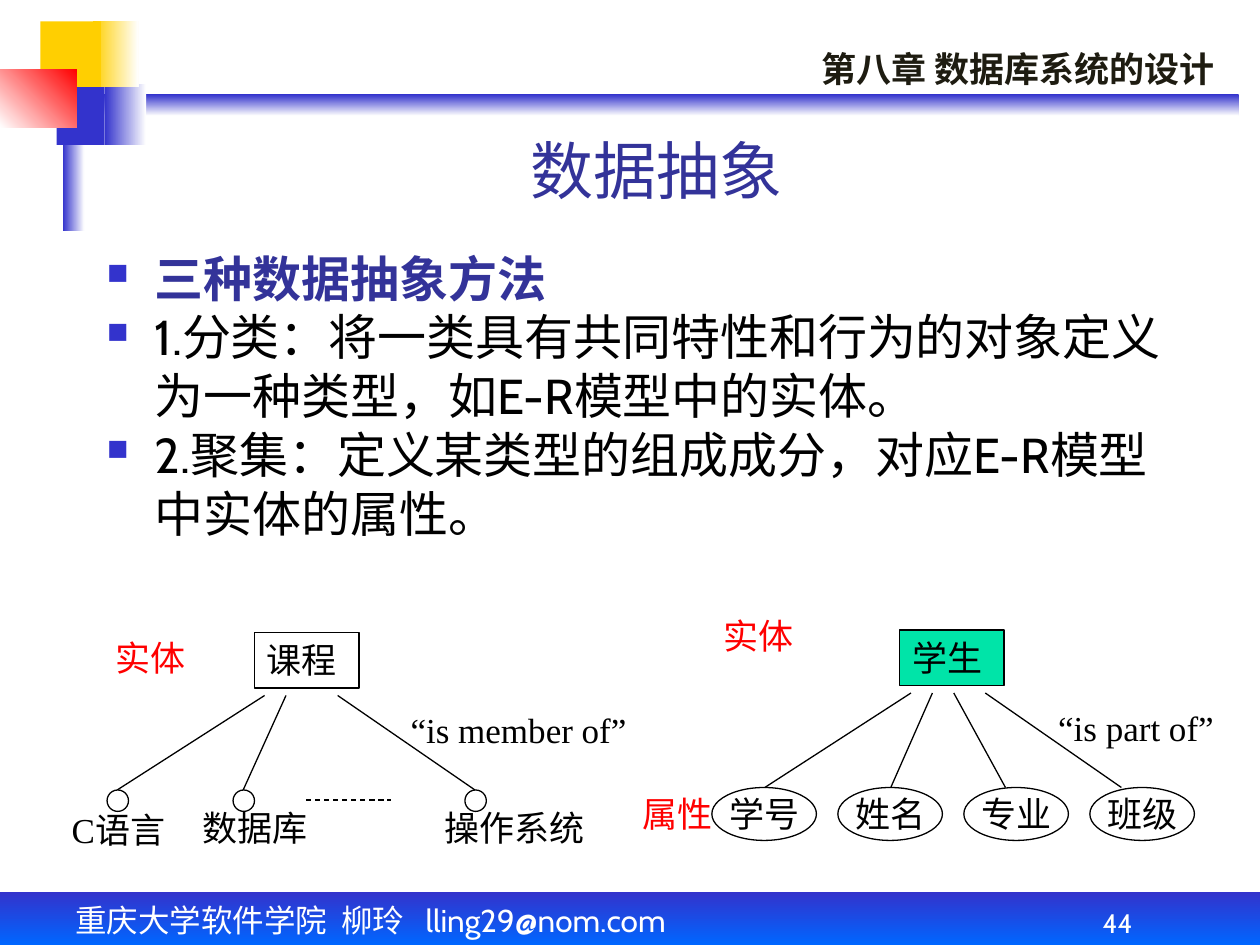
from lxml import etree
from pptx import Presentation
from pptx.dml.color import RGBColor
from pptx.enum import dml, shapes, text
from pptx.oxml.ns import qn
from pptx.util import Inches, Pt

BLUE = RGBColor(0x33, 0x33, 0xCC)
SKY = RGBColor(0x00, 0x66, 0xFF)
YELLOW = RGBColor(0xFF, 0xCF, 0x01)
RED = RGBColor(0xFF, 0x00, 0x00)
GREEN = RGBColor(0x00, 0xE4, 0xA8)
INDIGO = RGBColor(0x33, 0x33, 0x99)
INK = RGBColor(0x1E, 0x1C, 0x11)
BLACK = RGBColor(0x00, 0x00, 0x00)
WHITE = RGBColor(0xFF, 0xFF, 0xFF)
SANS, SERIF = "Cabin", "Times New Roman"
RECT, OVAL = shapes.MSO_SHAPE.RECTANGLE, shapes.MSO_SHAPE.OVAL
LEFT, CENTER = text.PP_ALIGN.LEFT, text.PP_ALIGN.CENTER
TOP, MIDDLE, BOTTOM = (text.MSO_ANCHOR.TOP, text.MSO_ANCHOR.MIDDLE,
                       text.MSO_ANCHOR.BOTTOM)


def add_run(paragraph, wording, size, color, font=SANS, bold=False):
    """Add one formatted run to a paragraph."""
    run = paragraph.add_run()
    run.text = wording
    run.font.size = Pt(size)
    run.font.name = font
    run.font.bold = bold
    run.font.color.rgb = color


def add_block(parent, box, fill=None, end=None, angle=0):
    """Add a borderless rectangle with a solid fill or a two-colour gradient."""
    block = parent.add_shape(RECT, *map(Inches, box))
    block.shadow.inherit = False
    block.line.fill.background()
    if end is None:
        block.fill.solid()
        block.fill.fore_color.rgb = fill
        return
    block.fill.gradient()
    block.fill.gradient_angle = angle
    for stop, color in zip(block.fill.gradient_stops, (fill, end)):
        stop.color.rgb = color


def add_label(parent, box, wording, size=20, color=BLACK, font=SERIF,
              bold=False, align=LEFT, anchor=TOP):
    """Add a one-paragraph text box and return its paragraph."""
    frame = parent.add_textbox(*map(Inches, box)).text_frame
    frame.word_wrap = True
    frame.vertical_anchor = anchor
    if align == LEFT:
        frame.margin_right = 0
    paragraph = frame.paragraphs[0]
    paragraph.alignment = align
    add_run(paragraph, wording, size, color, font, bold)
    return paragraph


def add_node(parent, preset, box, wording="", fill=None):
    """Add an outlined tree node, with centred text when it is an oval."""
    node = parent.add_shape(preset, *map(Inches, box))
    node.shadow.inherit = False
    node.line.color.rgb = BLACK
    node.line.width = Pt(0.75)
    if fill is None:
        node.fill.background()
    else:
        node.fill.solid()
        node.fill.fore_color.rgb = fill
    if wording:
        oval = preset == OVAL
        frame = node.text_frame
        frame.word_wrap = not oval
        frame.vertical_anchor = MIDDLE if oval else TOP
        paragraph = frame.paragraphs[0]
        paragraph.alignment = CENTER if oval else LEFT
        add_run(paragraph, wording, 20, BLACK, SERIF)


def add_line(parent, start, end, dashed=False):
    """Add a thin black line between two points."""
    line = parent.add_connector(shapes.MSO_CONNECTOR.STRAIGHT,
                                *map(Inches, (*start, *end)))
    line.line.color.rgb = BLACK
    line.line.width = Pt(0.75)
    if dashed:
        line.line.dash_style = dml.MSO_LINE.DASH
    etree.SubElement(line._element.spPr, qn("a:effectLst"))


def add_tabs(paragraph, stops):
    """Set left tab stops, in inches, on a paragraph."""
    tab_list = etree.SubElement(paragraph._p.get_or_add_pPr(), qn("a:tabLst"))
    for stop in stops:
        etree.SubElement(tab_list, qn("a:tab"), pos=str(Inches(stop)), algn="l")


def add_bullet(paragraph):
    """Give a paragraph a small blue square bullet and a hanging indent."""
    props = paragraph._p.get_or_add_pPr()
    props.set("marL", str(Inches(0.38)))
    props.set("indent", str(-Inches(0.38)))
    color = etree.SubElement(props, qn("a:buClr"))
    etree.SubElement(color, qn("a:srgbClr"), val=str(BLUE))
    etree.SubElement(props, qn("a:buSzPct"), val="60000")
    etree.SubElement(props, qn("a:buFont"), typeface="Wingdings", charset="2")
    etree.SubElement(props, qn("a:buChar"), char="n")


def add_frame(parent):
    """Draw the decorated header, the footer and the page number."""
    add_block(parent, (0.58, 0.75, 9.25, 0.17), BLUE, WHITE, 270)
    add_block(parent, (0.83, 0.67, 0.33, 0.48), BLUE, WHITE)
    add_block(parent, (0, 7.08, 10, 0.42), BLUE, SKY, 270)
    add_block(parent, (0.5, 0.58, 0.17, 1.25), BLUE, WHITE)
    add_block(parent, (0.45, 0.67, 0.38, 0.48), BLUE)
    add_block(parent, (0.74, 0.17, 0.36, 0.52), YELLOW, WHITE)
    add_block(parent, (0.32, 0.17, 0.48, 0.52), YELLOW)
    add_block(parent, (0, 0.55, 0.61, 0.46), WHITE, RED, 45)
    footer = add_label(parent, (0.5, 7.1, 5.58, 0.4),
                       "重庆大学软件学院\t柳玲\tlling29@nom.com", 18, WHITE, SANS)
    add_tabs(footer, (2.11, 2.78))
    add_label(parent, (6.42, 0.33, 3.42, 0.44), "第八章 数据库系统的设计",
              20, INK, SANS, bold=True)
    add_label(parent, (8.08, 7.08, 1.58, 0.42), "44", 15.3, WHITE, SANS,
              align=CENTER, anchor=BOTTOM)


def add_methods(parent):
    """Write the bulleted list of abstraction methods."""
    box = (0.75, 1.92, 8.74, 2.46)
    frame = parent.add_textbox(*map(Inches, box)).text_frame
    frame.word_wrap = True
    methods = (
        ("三种数据抽象方法", INDIGO, True),
        ("1.分类：将一类具有共同特性和行为的对象定义为一种类型，如E-R模型中的实体。",
         BLACK, False),
        ("2.聚集：定义某类型的组成成分，对应E-R模型中实体的属性。", BLACK, False),
    )
    for index, (wording, color, bold) in enumerate(methods):
        paragraph = frame.add_paragraph() if index else frame.paragraphs[0]
        add_bullet(paragraph)
        add_run(paragraph, wording, 28, color, bold=bold)


def add_course_tree(parent):
    """Draw the classification tree of courses."""
    add_node(parent, RECT, (2.02, 5.02, 0.83, 0.44), "课程")
    members = (
        (2.1, 0.93, "C语言", (0.47, 6.37, 1.01, 0.44)),
        (2.27, 1.93, "数据库", (1.51, 6.35, 1.03, 0.44)),
        (2.68, 3.77, "操作系统", (3.43, 6.35, 1.31, 0.44)),
    )
    for start, center, member, box in members:
        add_line(parent, (start, 5.52), (center, 6.27))
        add_node(parent, OVAL, (center - 0.08, 6.27, 0.17, 0.17), fill=WHITE)
        add_label(parent, box, member)
    add_line(parent, (2.43, 6.35), (3.1, 6.35), dashed=True)
    add_label(parent, (3.16, 5.57, 1.91, 0.44), "“is member of”")
    add_label(parent, (0.82, 5, 0.75, 0.44), "实体", color=RED)


def add_student_tree(parent):
    """Draw the aggregation tree of student attributes."""
    add_node(parent, RECT, (7.14, 5, 0.83, 0.44), "学生", GREEN)
    attributes = (("学号", 7.23, 6.07), ("姓名", 7.4, 7.07),
                  ("专业", 7.57, 7.98), ("班级", 7.82, 8.9))
    for index, (attribute, start, end) in enumerate(attributes):
        add_node(parent, OVAL, (5.65 + index, 6.25, 0.83, 0.42), attribute, WHITE)
        add_line(parent, (start, 5.5), (end, 6.25))
    add_label(parent, (8.3, 5.56, 1.43, 0.44), "“is part of”")
    add_label(parent, (5.64, 4.83, 0.75, 0.44), "实体", color=RED)
    add_label(parent, (5, 6.24, 0.83, 0.44), "属性", color=RED)


def main():
    """Build the slide and save it."""
    deck = Presentation()
    deck.slide_width, deck.slide_height = Inches(10), Inches(7.5)
    canvas = deck.slides.add_slide(deck.slide_layouts[6]).shapes
    add_frame(canvas)
    add_label(canvas, (1.25, 1.25, 7.92, 0.44), "数据抽象", 36, INDIGO, SANS,
              align=CENTER, anchor=BOTTOM)
    add_methods(canvas)
    add_course_tree(canvas.add_group_shape().shapes)
    add_student_tree(canvas.add_group_shape().shapes)
    deck.save("out.pptx")


if __name__ == "__main__":
    main()
